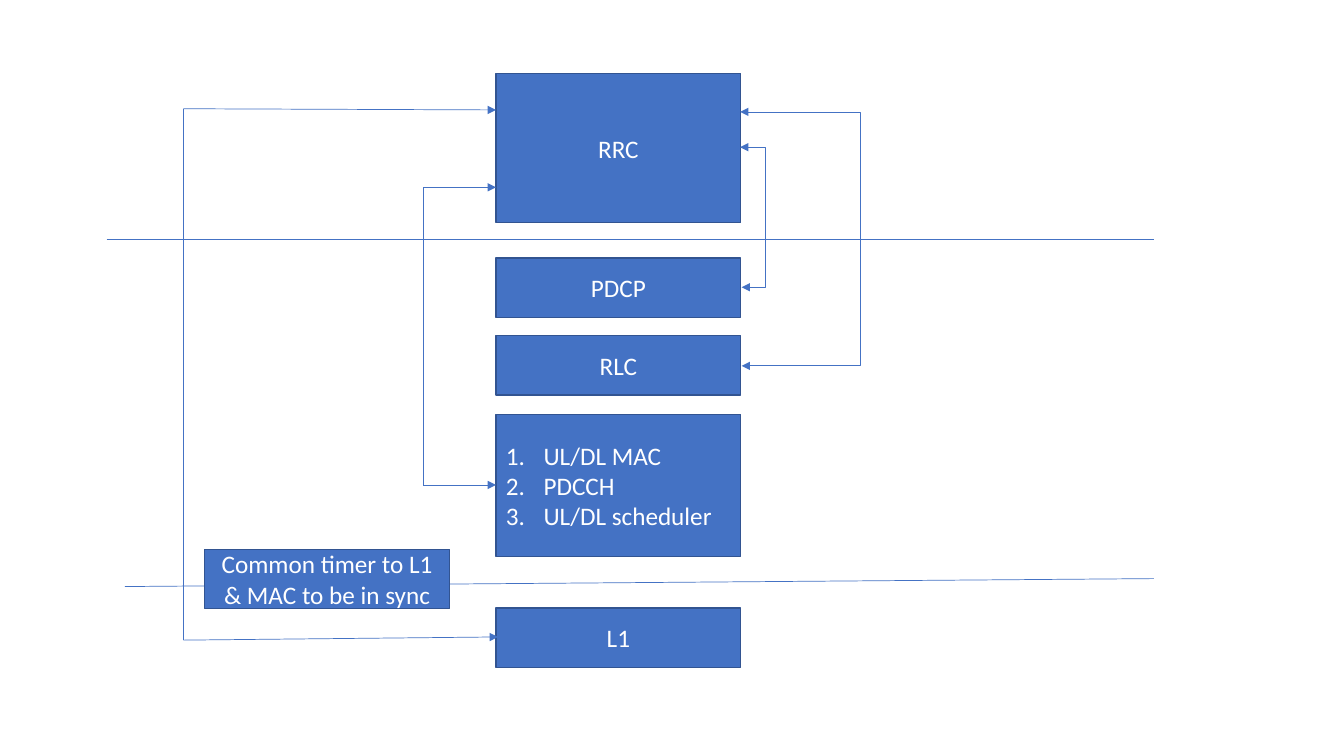
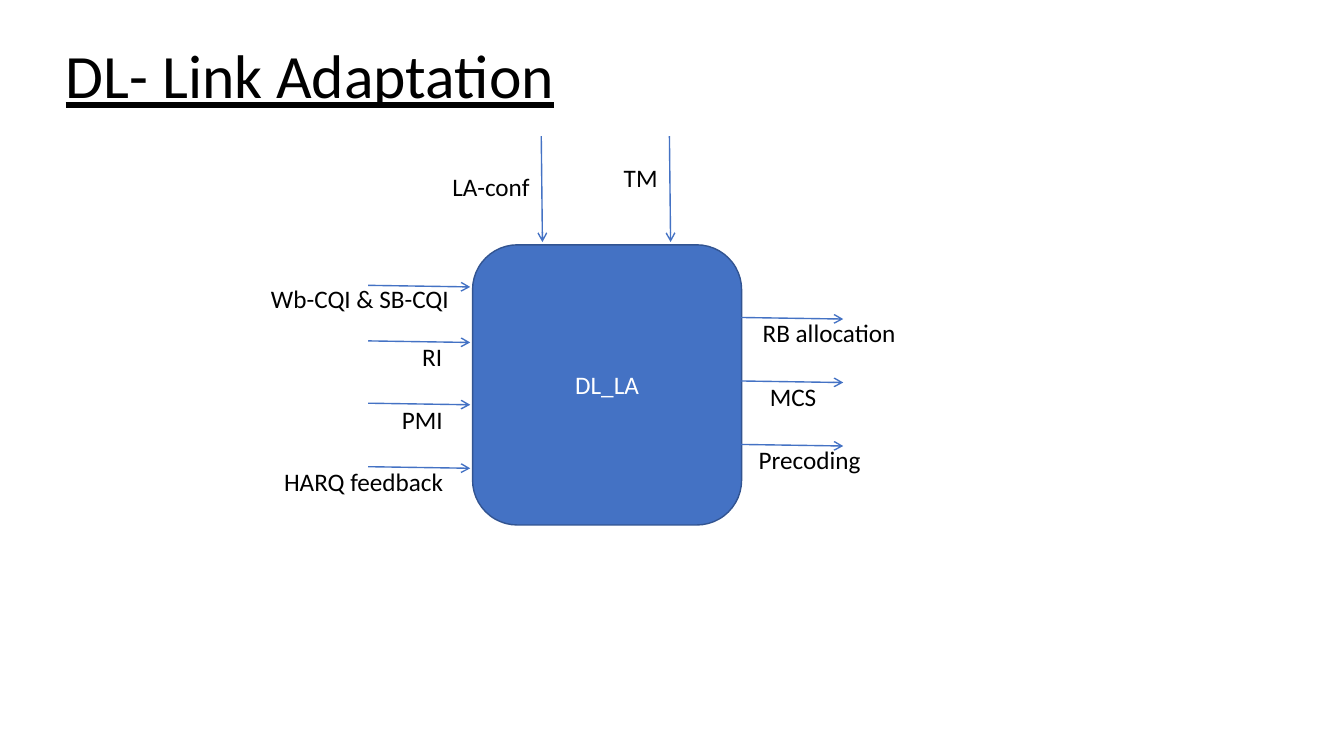
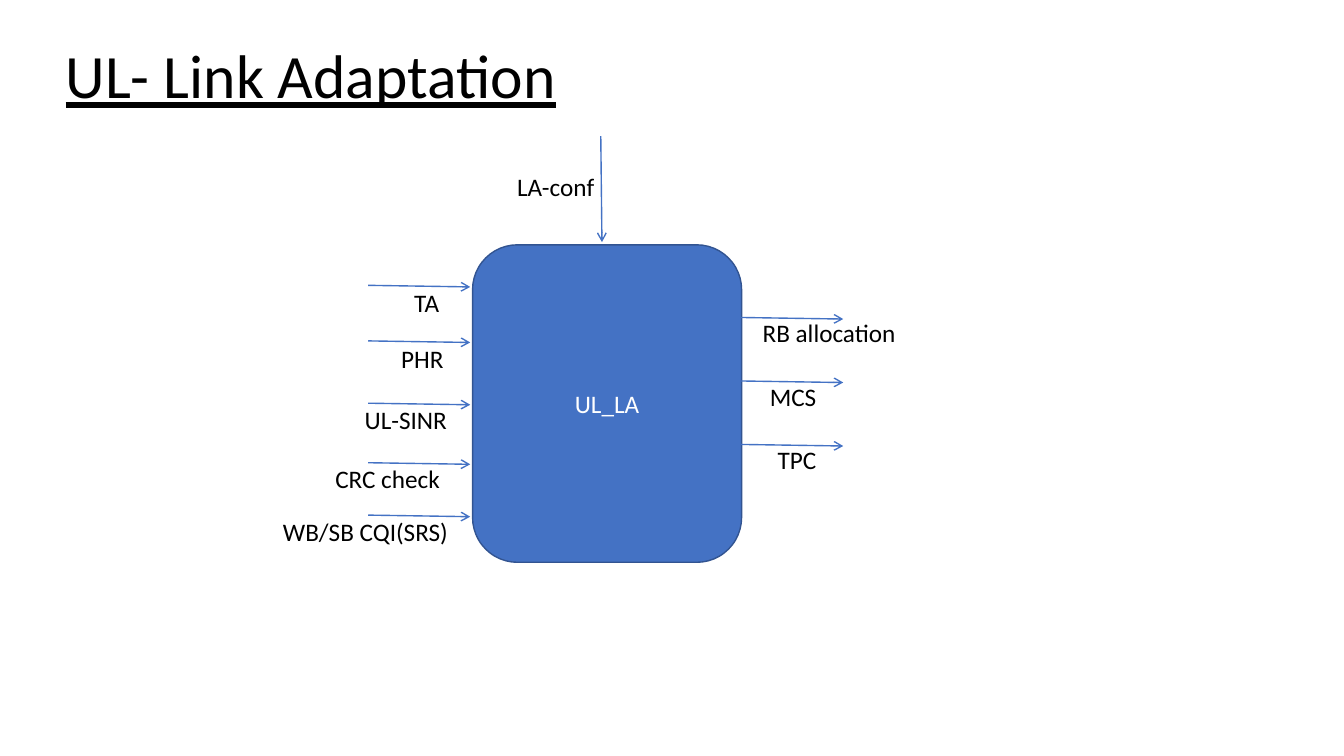
"""Builds three slides on the radio protocol stack and its link adaptation."""
from lxml.etree import SubElement
from pptx import Presentation
from pptx.dml.color import RGBColor
from pptx.enum.shapes import MSO_CONNECTOR as Link, MSO_SHAPE as Shape
from pptx.enum.text import MSO_ANCHOR as Anchor, MSO_AUTO_SIZE as AutoSize, PP_ALIGN as Align
from pptx.oxml.ns import qn
from pptx.util import Cm, Pt

BLUE = RGBColor(0x44, 0x72, 0xC4)
DARK_BLUE = RGBColor(0x32, 0x54, 0x91)
BLACK = RGBColor(0, 0, 0)
WHITE = RGBColor(255, 255, 255)
FONT = "Calibri"
TITLE_ONLY, BLANK = 5, 6


def write(frame, text, size=18, color=BLACK, align=Align.LEFT, anchor=Anchor.TOP,
          wrap=True, fit=AutoSize.NONE, underline=None, spacing=None, numbered=False):
    frame.text = text
    frame.word_wrap = wrap
    frame.auto_size = fit
    frame.vertical_anchor = anchor
    for paragraph in frame.paragraphs:
        paragraph.alignment = align
        paragraph.line_spacing = spacing
        for run in paragraph.runs:
            run.font.name = FONT
            run.font.size = Pt(size)
            run.font.color.rgb = color
            run.font.underline = underline
        if numbered:
            properties = paragraph._p.get_or_add_pPr()
            properties.set("marL", str(Cm(0.95)))
            properties.set("indent", str(-Cm(0.95)))
            SubElement(properties, qn("a:buFont"), typeface="+mj-lt")
            SubElement(properties, qn("a:buAutoNum"), type="arabicPeriod")


class Deck:
    """Holds the presentation, its style and the current slide."""

    def __init__(self):
        self.show = Presentation()
        self.show.slide_width, self.show.slide_height = Cm(33.87), Cm(19.05)
        self.slide = None

    def add_slide(self, title=None):
        layout = TITLE_ONLY if title else BLANK
        self.slide = self.show.slides.add_slide(self.show.slide_layouts[layout])
        if title:
            heading = self.slide.shapes.title
            heading.left, heading.top = Cm(1.4), Cm(0.51)
            heading.width, heading.height = Cm(14.83), Cm(2.95)
            write(heading.text_frame, title, size=44, anchor=Anchor.MIDDLE,
                  underline=True, spacing=0.9)

    def box(self, text, left, top, width, height, kind=Shape.RECTANGLE,
            align=Align.CENTER, numbered=False):
        block = self.slide.shapes.add_shape(kind, Cm(left), Cm(top), Cm(width), Cm(height))
        block.shadow.inherit = False
        block.fill.solid()
        block.fill.fore_color.rgb = BLUE
        block.line.color.rgb = DARK_BLUE
        block.line.width = Pt(1)
        write(block.text_frame, text, color=WHITE, align=align,
              anchor=Anchor.MIDDLE, numbered=numbered)

    def label(self, text, left, top, width):
        caption = self.slide.shapes.add_textbox(Cm(left), Cm(top), Cm(width), Cm(1.03))
        write(caption.text_frame, text, wrap=False, fit=AutoSize.SHAPE_TO_FIT_TEXT)

    def line(self, x1, y1, x2, y2, weight=0.5, head=None, tail=None, kind=Link.STRAIGHT):
        link = self.slide.shapes.add_connector(kind, Cm(x1), Cm(y1), Cm(x2), Cm(y2))
        link.line.color.rgb = BLUE
        link.line.width = Pt(weight)
        outline = link.line._get_or_add_ln()
        for end, arrow in (("a:headEnd", head), ("a:tailEnd", tail)):
            if arrow:
                SubElement(outline, qn(end), type=arrow)
        SubElement(link._element.spPr, qn("a:effectLst"))
        return link

    def elbow(self, x1, y1, x2, y2, bend):
        link = self.line(x1, y1, x2, y2, head="triangle", tail="triangle", kind=Link.ELBOW)
        geometry = link._element.spPr.find(qn("a:prstGeom"))
        guides = geometry.find(qn("a:avLst"))
        if guides is None:
            guides = SubElement(geometry, qn("a:avLst"))
        ratio = round((bend - x1) / (x2 - x1) * 100000)
        SubElement(guides, qn("a:gd"), name="adj1", fmla=f"val {ratio}")

    def adaptation(self, title, name, height, settings, inputs, outputs):
        self.add_slide(title)
        self.box(name, 11.91, 6.17, 6.78, height, kind=Shape.FLOWCHART_ALTERNATE_PROCESS)
        for text, left, top, width, arrow_x in settings:
            self.line(arrow_x, 3.43, arrow_x + 0.03, 6.1, weight=1, tail="arrow")
            self.label(text, left, top, width)
        for text, left, top, width, arrow_y in inputs:
            self.line(9.28, arrow_y, 11.85, arrow_y + 0.04, weight=1, tail="arrow")
            self.label(text, left, top, width)
        for row, (text, left, width) in enumerate(outputs):
            arrow_y = 8 + 1.6 * row
            self.line(18.68, arrow_y, 21.25, arrow_y + 0.04, weight=1, tail="arrow")
            self.label(text, left, arrow_y - 0.12, width)


deck = Deck()

deck.add_slide()
LAYER_LEFT, LAYER_WIDTH = 12.5, 6.17
for layer, top, height in (("RRC", 1.85, 3.76), ("PDCP", 6.5, 1.5),
                           ("RLC", 8.46, 1.5), ("L1", 15.32, 1.5)):
    deck.box(layer, LAYER_LEFT, top, LAYER_WIDTH, height)
deck.box("UL/DL MAC\nPDCCH\nUL/DL scheduler", LAYER_LEFT, 10.44, LAYER_WIDTH, 3.58,
         align=Align.LEFT, numbered=True)
deck.line(3.15, 14.78, 29.08, 14.58)
deck.line(2.69, 6.02, 29.08, 6.02)
deck.box("Common timer to L1 & MAC to be in sync", 5.16, 13.84, LAYER_WIDTH, 1.5)
for rrc_y, layer_y, bend in ((3.71, 7.24, 19.28), (2.82, 9.22, 21.69)):
    deck.elbow(18.65, rrc_y, 18.69, layer_y, bend)
for x, rrc_y, layer_y, rrc_end, layer_end in (
        (10.67, 4.72, 12.22, (12.5, 4.72), (12.5, 12.22)),
        (4.62, 2.74, 16.13, (12.5, 2.77), (12.55, 16.05))):
    deck.line(x, rrc_y, x, layer_y)
    deck.line(x, rrc_y, *rrc_end, tail="triangle")
    deck.line(x, layer_y, *layer_end, tail="triangle")

shared_outputs = [("RB allocation", 18.97, 3.91), ("MCS", 19.15, 1.7)]

deck.adaptation(
    "DL- Link Adaptation", "DL_LA", 7.06,
    settings=[("LA-conf", 11.15, 4.19, 2.51, 13.64), ("TM", 15.47, 3.96, 1.37, 16.87)],
    inputs=[("Wb-CQI & SB-CQI", 6.58, 7.01, 5.05, 7.19),
            ("RI", 10.39, 8.48, 1.02, 8.59),
            ("PMI", 9.88, 10.06, 1.55, 10.16),
            ("HARQ feedback", 6.91, 11.63, 4.6, 11.76)],
    outputs=shared_outputs + [("Precoding", 18.87, 3.12)])

deck.adaptation(
    "UL- Link Adaptation", "UL_LA", 8,
    settings=[("LA-conf", 12.78, 4.19, 2.51, 15.14)],
    inputs=[("TA", 10.19, 7.11, 1.19, 7.19),
            ("PHR", 9.86, 8.53, 1.63, 8.59),
            ("UL-SINR", 8.94, 10.06, 2.62, 10.16),
            ("CRC check", 8.2, 11.56, 3.18, 11.66),
            ("WB/SB CQI(SRS)", 6.88, 12.88, 4.72, 12.98)],
    outputs=shared_outputs + [("TPC", 19.35, 1.5)])

deck.show.save("out.pptx")
